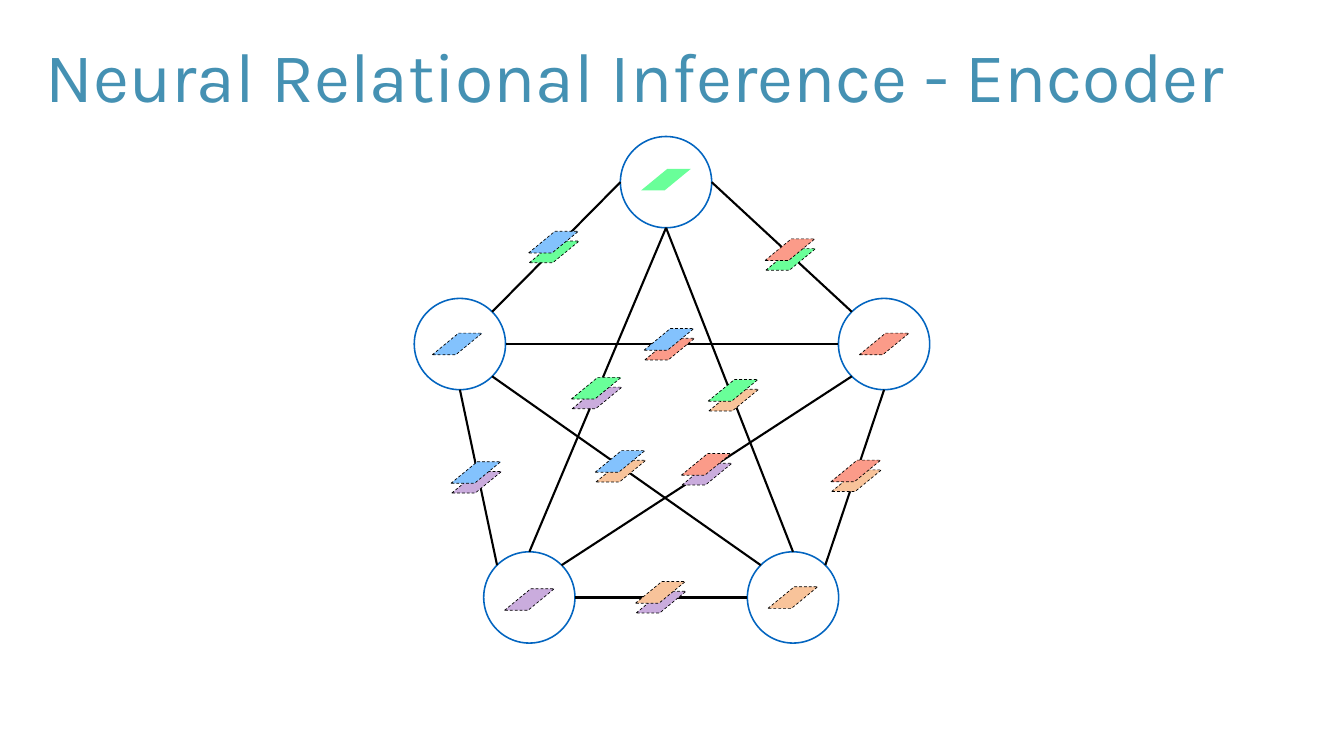
"""Build the slide showing the encoder graph of Neural Relational Inference."""
from math import cos, radians, sin

from lxml.etree import SubElement
from pptx import Presentation
from pptx.dml.color import RGBColor
from pptx.enum.dml import MSO_LINE
from pptx.enum.shapes import MSO_CONNECTOR, MSO_SHAPE
from pptx.enum.text import MSO_ANCHOR, MSO_AUTO_SIZE, PP_ALIGN
from pptx.oxml.ns import qn
from pptx.util import Cm, Pt

TEAL = RGBColor(0x45, 0x91, 0xB3)
NAVY = RGBColor(0x03, 0x65, 0xC0)
BLACK = RGBColor(0x00, 0x00, 0x00)
GREEN = RGBColor(0x69, 0xFF, 0x99)
BLUE = RGBColor(0x83, 0xC2, 0xFD)
RED = RGBColor(0xFB, 0x9B, 0x89)
ORANGE = RGBColor(0xF8, 0xC3, 0x9A)
PURPLE = RGBColor(0xCA, 0xAC, 0xDD)
RADIUS = 2.3

deck = Presentation()
deck.slide_width, deck.slide_height = Cm(67.74), Cm(38.1)
slide = deck.slides.add_slide(deck.slide_layouts[5])
shapes = slide.shapes


def write(frame, text, *, font, size, color, align, spacing):
    frame.margin_left = frame.margin_right = 0
    frame.margin_top = frame.margin_bottom = 0
    frame.word_wrap = True
    frame.auto_size = MSO_AUTO_SIZE.NONE
    frame.vertical_anchor = MSO_ANCHOR.TOP
    line = frame.paragraphs[0]
    line.alignment, line.line_spacing = align, spacing
    run = line.add_run()
    run.text = text
    run.font.name, run.font.size = font, Pt(size)
    run.font.color.rgb = color


def card(left, top, color, dashed=True):
    tile = shapes.add_shape(
        MSO_SHAPE.PARALLELOGRAM, Cm(left), Cm(top), Cm(2.51), Cm(1.09))
    tile.adjustments[0] = 1.216
    tile.shadow.inherit = False
    tile.fill.solid()
    tile.fill.fore_color.rgb = color
    if dashed:
        tile.line.color.rgb = BLACK
        tile.line.width = Pt(1)
        tile.line.dash_style = MSO_LINE.DASH
    else:
        tile.line.fill.background()


title = shapes.title
title.left, title.top = Cm(2.29), Cm(2.44)
title.width, title.height = Cm(63.17), Cm(4.39)
write(title.text_frame, "Neural Relational Inference - Encoder", font="Karla",
      size=100, color=TEAL, align=PP_ALIGN.LEFT, spacing=0.8)

nodes = {
    "west": (23.18, 17.34, BLUE, 21.79, 16.79),
    "top": (33.57, 9.18, GREEN, 32.31, 8.51),
    "east": (44.56, 17.34, RED, 43.31, 16.79),
    "right": (39.97, 30.11, ORANGE, 38.71, 29.57),
    "left": (26.68, 30.11, PURPLE, 25.43, 29.67),
}
edges = [
    ("west", 0, "east", 180, 32.46, 16.56),
    ("top", 270, "right", 90, 35.69, 19.13),
    ("top", 270, "left", 90, 28.8, 19.02),
    ("west", 45, "top", 180, 26.64, 11.66),
    ("east", 135, "top", 0, 38.56, 12.04),
    ("east", 270, "right", 45, 41.88, 23.19),
    ("west", 270, "left", 135, 22.73, 23.27),
    ("west", 315, "right", 135, 30, 22.71),
    ("east", 225, "left", 45, 34.34, 22.86),
    ("right", 180, "left", 0, 32.03, 29.31),
]

for x, y, color, left, top in nodes.values():
    ring = shapes.add_shape(MSO_SHAPE.OVAL, Cm(x - RADIUS), Cm(y - RADIUS),
                            Cm(2 * RADIUS), Cm(2 * RADIUS))
    ring.shadow.inherit = False
    ring.fill.background()
    ring.line.color.rgb = NAVY
    ring.line.width = Pt(2.25)

for start, out, end, into, left, top in edges:
    ends = []
    for name, angle in ((start, out), (end, into)):
        x, y = nodes[name][:2]
        ends += [Cm(x + RADIUS * cos(radians(angle))),
                 Cm(y - RADIUS * sin(radians(angle)))]
    link = shapes.add_connector(MSO_CONNECTOR.STRAIGHT, *ends)
    link.line.color.rgb = BLACK
    link.line.width = Pt(3)
    SubElement(link._element.spPr, qn("a:effectLst"))

for name, (x, y, color, left, top) in nodes.items():
    card(left, top, color, dashed=name != "top")

for start, out, end, into, left, top in edges:
    card(left + 0.04, top + 0.49, nodes[end][2])
    card(left, top, nodes[start][2])

deck.save("out.pptx")
